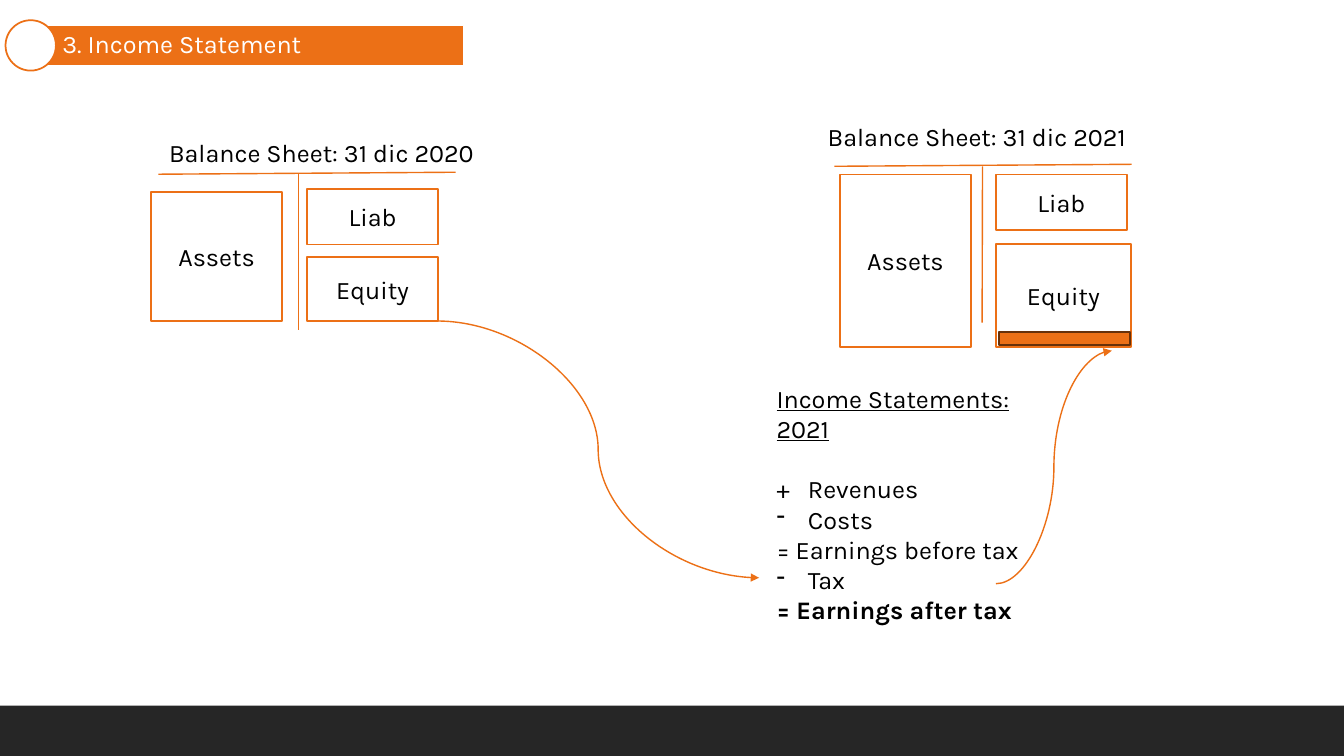
from dataclasses import dataclass

import pptx
import pptx.dml.color
import pptx.enum.shapes
import pptx.enum.text
import pptx.oxml
import pptx.oxml.ns
import pptx.util

Cm = pptx.util.Cm
Pt = pptx.util.Pt
RGBColor = pptx.dml.color.RGBColor
MSO_SHAPE = pptx.enum.shapes.MSO_SHAPE
MSO_CONNECTOR = pptx.enum.shapes.MSO_CONNECTOR
PP_ALIGN = pptx.enum.text.PP_ALIGN
MSO_ANCHOR = pptx.enum.text.MSO_ANCHOR
MSO_AUTO_SIZE = pptx.enum.text.MSO_AUTO_SIZE

ORANGE = RGBColor(0xEC, 0x70, 0x16)
BROWN = RGBColor(0x67, 0x31, 0x0A)
DARK = RGBColor(0x26, 0x26, 0x26)
WHITE = RGBColor(0xFF, 0xFF, 0xFF)
BLACK = RGBColor(0, 0, 0)

FONT = {"name": "Karla", "size": Pt(18), "bold": False}
HANG = Cm(0.79)


@dataclass
class Box:
    left: float
    top: float
    width: float
    height: float
    text: str = ""
    fill: RGBColor = WHITE
    line: RGBColor | None = ORANGE
    kind: MSO_SHAPE = MSO_SHAPE.RECTANGLE


@dataclass
class Link:
    x1: float
    y1: float
    x2: float
    y2: float
    curved: bool = False


@dataclass
class Entry:
    text: str
    bullet: str = ""
    hanging: bool = False
    before: float = 0
    bold: bool = False
    underline: bool = False


FOOTER = Box(0, 17.78, 33.87, 1.27, fill=DARK, line=None)
BADGE = Box(0.14, 0.51, 1.27, 1.27, kind=MSO_SHAPE.OVAL)
BALANCE_BOXES = [
    Box(3.81, 4.83, 3.3, 3.27, "Assets"),
    Box(7.74, 4.77, 3.3, 1.39, "Liab"),
    Box(7.74, 6.48, 3.3, 1.62, "Equity"),
    Box(21.17, 4.4, 3.3, 4.34, "Assets"),
    Box(25.1, 4.4, 3.3, 1.4, "Liab"),
    Box(25.1, 6.15, 3.4, 2.59, "Equity"),
]
PROFIT = Box(25.17, 8.36, 3.3, 0.33, fill=ORANGE, line=BROWN)
ACCOUNT_LINES = [
    Link(3.99, 4.39, 11.48, 4.34),
    Link(21.03, 4.19, 28.52, 4.14),
    Link(7.52, 4.39, 7.52, 8.31),
    Link(24.76, 4.19, 24.75, 8.13),
]
FLOWS = [
    Link(11.02, 8.09, 19.13, 14.56, curved=True),
    Link(25.1, 14.71, 28.02, 8.84, curved=True),
]
HEADINGS = [
    (4.01, 3.33, "Balance Sheet: 31 dic 2020"),
    (20.61, 2.93, "Balance Sheet: 31 dic 2021"),
]
INCOME = [
    Entry("Income Statements: 2021", underline=True),
    Entry("+\tRevenues", hanging=True, before=21.5),
    Entry("Costs", bullet="-", hanging=True),
    Entry("= Earnings before tax"),
    Entry("Tax", bullet="-", hanging=True),
    Entry("= Earnings after tax", bold=True),
]


def add_text(p, text: str, color: RGBColor = BLACK, **extra) -> None:
    r = p.add_run()
    r.text = text
    for name, value in {**FONT, **extra}.items():
        setattr(r.font, name, value)
    r.font.color.rgb = color


def paint(sp, fill: RGBColor, line: RGBColor | None) -> None:
    sp.fill.solid()
    sp.fill.fore_color.rgb = fill
    if line is None:
        sp.line.fill.background()
    else:
        sp.line.color.rgb = line
        sp.line.width = Pt(1.25)


def add_box(s, box: Box) -> None:
    sp = s.shapes.add_shape(box.kind, Cm(box.left), Cm(box.top), Cm(box.width), Cm(box.height))
    sp.shadow.inherit = False
    paint(sp, box.fill, box.line)
    if box.text:
        sp.text_frame.vertical_anchor = MSO_ANCHOR.MIDDLE
        p = sp.text_frame.paragraphs[0]
        p.alignment = PP_ALIGN.CENTER
        add_text(p, box.text)


def add_link(s, link: Link) -> None:
    kind = MSO_CONNECTOR.CURVE if link.curved else MSO_CONNECTOR.STRAIGHT
    sp = s.shapes.add_connector(kind, Cm(link.x1), Cm(link.y1), Cm(link.x2), Cm(link.y2))
    sp.line.color.rgb = ORANGE
    sp.line.width = Pt(1)
    if link.curved:
        ln = sp.line._get_or_add_ln()
        ln.append(pptx.oxml.parse_xml(f'<a:tailEnd {pptx.oxml.ns.nsdecls("a")} type="triangle"/>'))
    sp._element.spPr.append(pptx.oxml.parse_xml(f'<a:effectLst {pptx.oxml.ns.nsdecls("a")}/>'))


def add_textbox(s, left: float, top: float, width: float, height: float, entries: list[Entry]) -> None:
    tf = s.shapes.add_textbox(Cm(left), Cm(top), Cm(width), Cm(height)).text_frame
    tf.word_wrap = True
    for i, entry in enumerate(entries):
        p = tf.add_paragraph() if i else tf.paragraphs[0]
        if entry.before:
            p.space_before = Pt(entry.before)
        pPr = p._p.get_or_add_pPr()
        if entry.hanging:
            pPr.set("marL", str(HANG))
            pPr.set("indent", str(-HANG))
        if entry.bullet:
            xml = f'<a:buChar {pptx.oxml.ns.nsdecls("a")} char="{entry.bullet}"/>'
            pPr.append(pptx.oxml.parse_xml(xml))
        add_text(p, entry.text, bold=entry.bold, underline=entry.underline)


def set_title(s, text: str) -> None:
    sp = s.shapes.title
    place = {"left": Cm(0.76), "top": Cm(0.64), "width": Cm(10.92), "height": Cm(1.02)}
    for name, value in place.items():
        setattr(sp, name, value)
    paint(sp, ORANGE, WHITE)
    tf = sp.text_frame
    frame = {"margin_left": Cm(0.81), "margin_right": Cm(0.13), "margin_top": Cm(0.13),
             "margin_bottom": Cm(0.13), "vertical_anchor": MSO_ANCHOR.MIDDLE,
             "auto_size": MSO_AUTO_SIZE.NONE, "word_wrap": True}
    for name, value in frame.items():
        setattr(tf, name, value)
    p = tf.paragraphs[0]
    p.alignment = PP_ALIGN.LEFT
    p.line_spacing = 0.9
    add_text(p, text, WHITE)


def main() -> None:
    prs = pptx.Presentation()
    prs.slide_width, prs.slide_height = Cm(33.87), Cm(19.05)
    s = prs.slides.add_slide(prs.slide_layouts[5])

    # Title banner and footer
    set_title(s, "3. Income Statement")
    for box in (FOOTER, BADGE):
        add_box(s, box)

    # Balance sheets
    for line in ACCOUNT_LINES:
        add_link(s, line)
    for box in BALANCE_BOXES:
        add_box(s, box)
    for left, top, text in HEADINGS:
        add_textbox(s, left, top, 8.66, 1.02, [Entry(text)])

    # Income statement, narrow enough for its heading to take two lines
    add_textbox(s, 19.32, 9.53, 7.6, 5.64, INCOME)

    # Flows between the years and the profit added to equity
    for flow in FLOWS:
        add_link(s, flow)
    add_box(s, PROFIT)

    prs.save("out.pptx")


if __name__ == "__main__":
    main()
